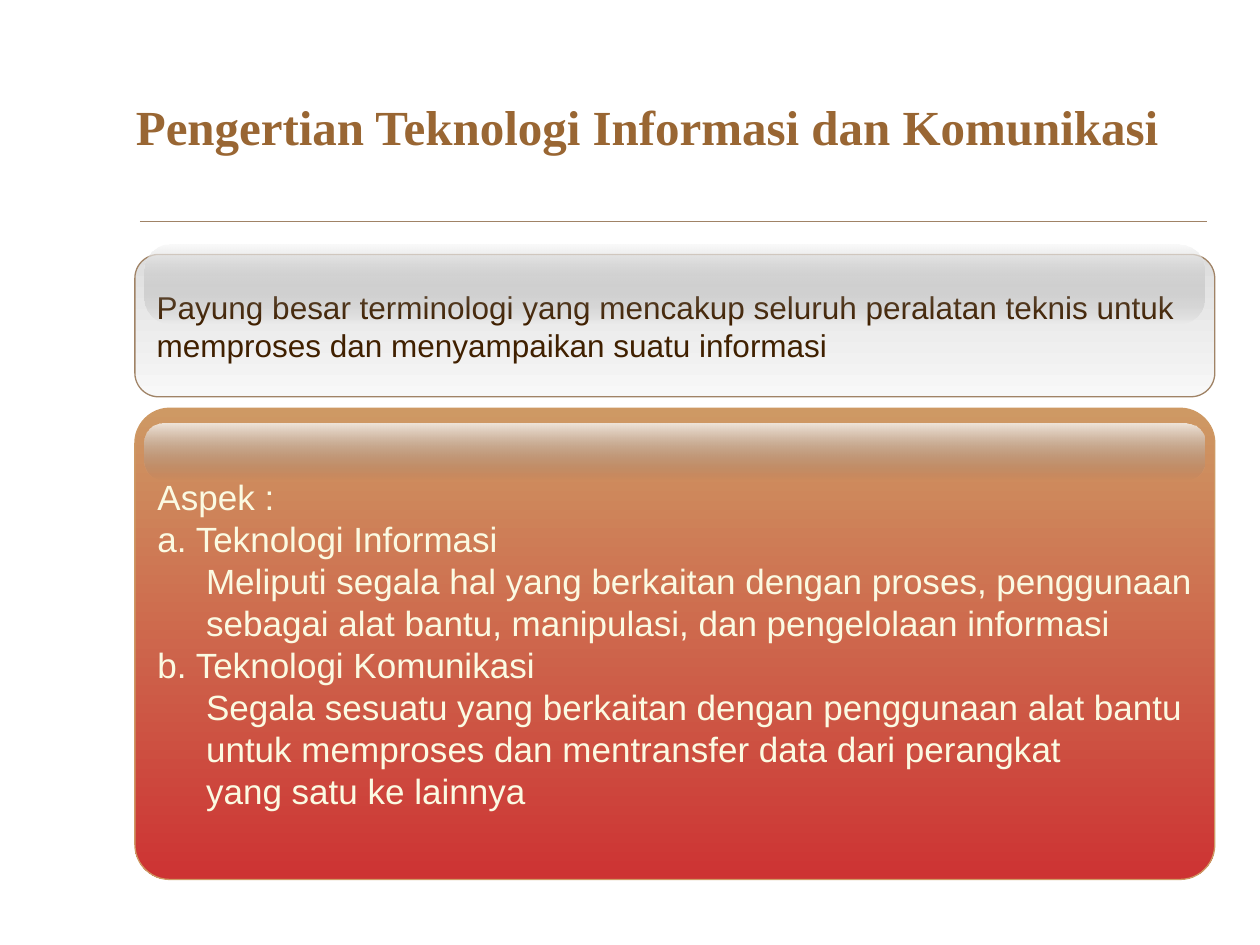
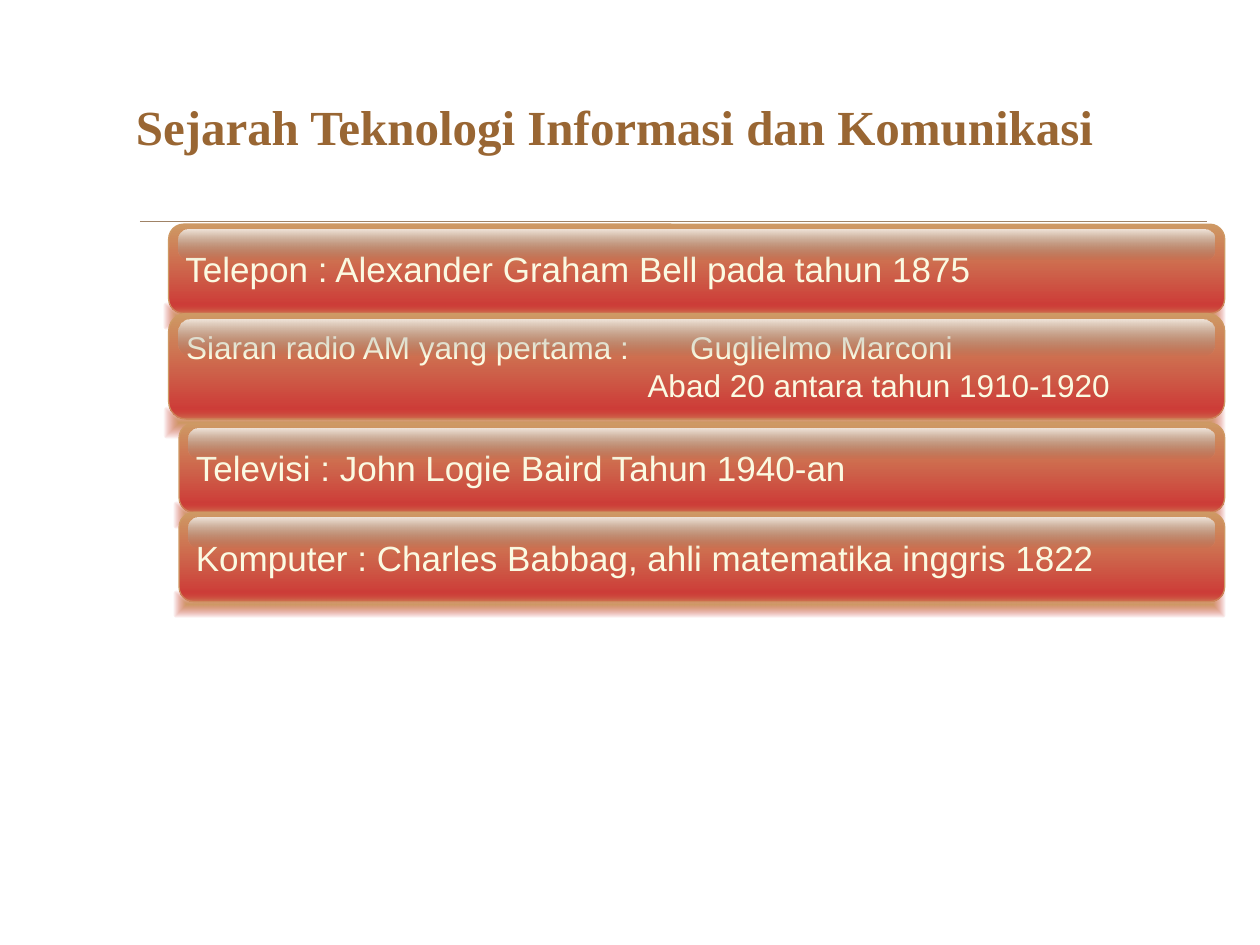
import pptx
import pptx.dml.color
import pptx.enum.shapes
import pptx.enum.text
import pptx.oxml
import pptx.oxml.ns
import pptx.util
from lxml import etree

Cm, Pt = pptx.util.Cm, pptx.util.Pt
qn = pptx.oxml.ns.qn

# Content: each line is (indent in cm, text); a tab jumps to the column stop
YEAR_COLUMN = 9.3
DETAIL = 0.98

DEFINITION_TITLE = "Pengertian Teknologi Informasi dan Komunikasi"
DEFINITION_CARDS = [
    dict(top=5.13, height=2.87, corner=0.167, look="pale", size=18,
         gloss=(-0.2, 1.6), lines=[
             (0.05, "Payung besar terminologi yang mencakup seluruh peralatan teknis untuk"),
             (0.05, "memproses dan menyampaikan suatu informasi")]),
    dict(top=8.23, height=9.5, corner=0.074, look="warm", size=20,
         gloss=(0.3, 1.14), lines=[
             (0, "Aspek :"),
             (0, "a. Teknologi Informasi"),
             (DETAIL, "Meliputi segala hal yang berkaitan dengan proses, penggunaan"),
             (DETAIL, "sebagai alat bantu, manipulasi, dan pengelolaan informasi"),
             (0, "b. Teknologi Komunikasi"),
             (DETAIL, "Segala sesuatu yang berkaitan dengan penggunaan alat bantu"),
             (DETAIL, "untuk memproses dan mentransfer data dari perangkat"),
             (DETAIL, "yang satu ke lainnya")]),
]

HISTORY_TITLE = "Sejarah Teknologi Informasi dan Komunikasi"
# left, gap above, height, text size, lines
HISTORY_CARDS = [
    (3.4, 0, 1.8, 20, [(0, "Telepon : Alexander Graham Bell pada tahun 1875")]),
    (3.4, 0, 2.13, 18, [(0, "Siaran radio AM yang pertama :\tGuglielmo Marconi"),
                        (YEAR_COLUMN, "Abad 20 antara tahun 1910-1920")]),
    (3.61, 0.08, 1.8, 20, [(0, "Televisi : John Logie Baird Tahun 1940-an")]),
    (3.61, 0, 1.8, 20, [(0, "Komputer : Charles Babbag, ahli matematika inggris 1822")]),
]
HISTORY_TOP, HISTORY_RIGHT = 4.52, 24.69

# Shared style
COLORS = {
    "title": "996633", "rule": "A08366", "tan": "CE9964", "red": "CD3333",
    "cream": "FBFAE2", "brown": "402000", "silver": "DDDDDD",
    "white": "F8F8F8", "gray": "727272",
}
# Gradient stops are (colour, opacity in percent)
LOOKS = {
    "pale": dict(stops=[("silver", 100), ("white", 100)], line="rule", text="brown"),
    "warm": dict(stops=[("tan", 100), ("red", 100)], line="tan", text="cream"),
}
GLOSS_STOPS = [("white", 80), ("gray", 0)]
GLOW_STOPS = [("tan", 100), ("red", 0)]
TITLE_FONT = dict(name="Times New Roman", size=Pt(28), bold=True)
TITLE_BOX = dict(left=Cm(2.49), top=Cm(1.12), width=Cm(21.64), height=Cm(2.82))
MARGINS = dict(margin_left=Cm(0.25), margin_right=Cm(0.25),
               margin_top=Cm(0.13), margin_bottom=Cm(0.13))


def rgb(name):
    return pptx.dml.color.RGBColor.from_string(COLORS[name])


def apply(target, values):
    for key, value in values.items():
        setattr(target, key, value)


def set_gradient(shape, stops, from_center=False):
    shape.fill.gradient()
    shape.fill.gradient_angle = 270
    gradient = shape._element.spPr.find(qn("a:gradFill"))
    for stop, position, (color, opacity) in zip(shape.fill.gradient_stops, (0, 1), stops):
        stop.position = position
        stop.color.rgb = rgb(color)
    for node, (_, opacity) in zip(gradient.iter(qn("a:srgbClr")), stops):
        if opacity < 100:
            etree.SubElement(node, qn("a:alpha"), val=str(opacity * 1000))
    if from_center:
        linear = gradient.find(qn("a:lin"))
        center = etree.Element(qn("a:path"), {"path": "rect"})
        etree.SubElement(center, qn("a:fillToRect"), dict.fromkeys("ltrb", "50000"))
        gradient.replace(linear, center)


def add_panel(slide, left, top, width, height, corner, stops, from_center=False):
    panel = slide.shapes.add_shape(
        pptx.enum.shapes.MSO_SHAPE.ROUNDED_RECTANGLE,
        Cm(left), Cm(top), Cm(width), Cm(height))
    panel.adjustments[0] = corner
    panel.shadow.inherit = False
    panel.line.fill.background()
    set_gradient(panel, stops, from_center)
    return panel


def write_lines(frame, lines, size, color):
    apply(frame, MARGINS)
    frame.word_wrap = False
    frame.vertical_anchor = pptx.enum.text.MSO_ANCHOR.MIDDLE
    for number, (indent, text) in enumerate(lines):
        paragraph = frame.add_paragraph() if number else frame.paragraphs[0]
        paragraph.alignment = pptx.enum.text.PP_ALIGN.LEFT
        properties = paragraph._p.get_or_add_pPr()
        properties.set("marL", str(Cm(indent)))
        properties.set("indent", "0")
        if "\t" in text:
            tabs = etree.SubElement(properties, qn("a:tabLst"))
            etree.SubElement(tabs, qn("a:tab"), pos=str(Cm(YEAR_COLUMN)), algn="l")
        run = paragraph.add_run()
        run.text = text
        apply(run.font, dict(name="Arial", size=Pt(size)))
        run.font.color.rgb = rgb(color)


def add_card(slide, left, top, width, height, corner, look, size, lines, gloss):
    """Text card with a translucent highlight; gloss is (offset, height)."""
    style = LOOKS[look]
    card = add_panel(slide, left, top, width, height, corner, style["stops"])
    card.line.color.rgb = rgb(style["line"])
    card.line.width = Pt(0.75)
    write_lines(card.text_frame, lines, size, style["text"])
    offset, gloss_height = gloss
    add_panel(slide, left + 0.2, top + offset, width - 0.4, gloss_height, 0.324, GLOSS_STOPS)


def add_titled_slide(deck, text):
    slide = deck.slides.add_slide(deck.slide_layouts[5])
    # Rule under the title
    rule = slide.shapes.add_connector(
        pptx.enum.shapes.MSO_CONNECTOR.STRAIGHT, Cm(2.82), Cm(4.45), Cm(24.33), Cm(4.45))
    rule.line.color.rgb = rgb("rule")
    rule.line.width = Pt(0.25)
    etree.SubElement(rule._element.spPr, qn("a:effectLst"))
    # Title
    title = slide.shapes.title
    apply(title, TITLE_BOX)
    frame = title.text_frame
    frame.text = text
    apply(frame, MARGINS)
    frame.vertical_anchor = pptx.enum.text.MSO_ANCHOR.MIDDLE
    frame.paragraphs[0].alignment = pptx.enum.text.PP_ALIGN.LEFT
    font = frame.paragraphs[0].runs[0].font
    apply(font, TITLE_FONT)
    font.color.rgb = rgb("title")
    return slide


def main():
    deck = pptx.Presentation()
    deck.slide_width, deck.slide_height = Cm(25.4), Cm(19.05)

    # Definition
    slide = add_titled_slide(deck, DEFINITION_TITLE)
    for card in DEFINITION_CARDS:
        add_card(slide, left=2.72, width=21.77, **card)

    # History: stacked cards, each with a glow under its lower edge
    slide = add_titled_slide(deck, HISTORY_TITLE)
    top = HISTORY_TOP
    for left, gap, height, size, lines in HISTORY_CARDS:
        top += gap
        width = HISTORY_RIGHT - left
        add_card(slide, left, top, width, height, 0.167, "warm", size, lines,
                 gloss=(0.06 * height, height / 3))
        add_panel(slide, left - 0.1, top + 0.88 * height, width + 0.12, 0.3 * height,
                  0.167, GLOW_STOPS, from_center=True)
        top += height

    deck.save("out.pptx")


if __name__ == "__main__":
    main()
